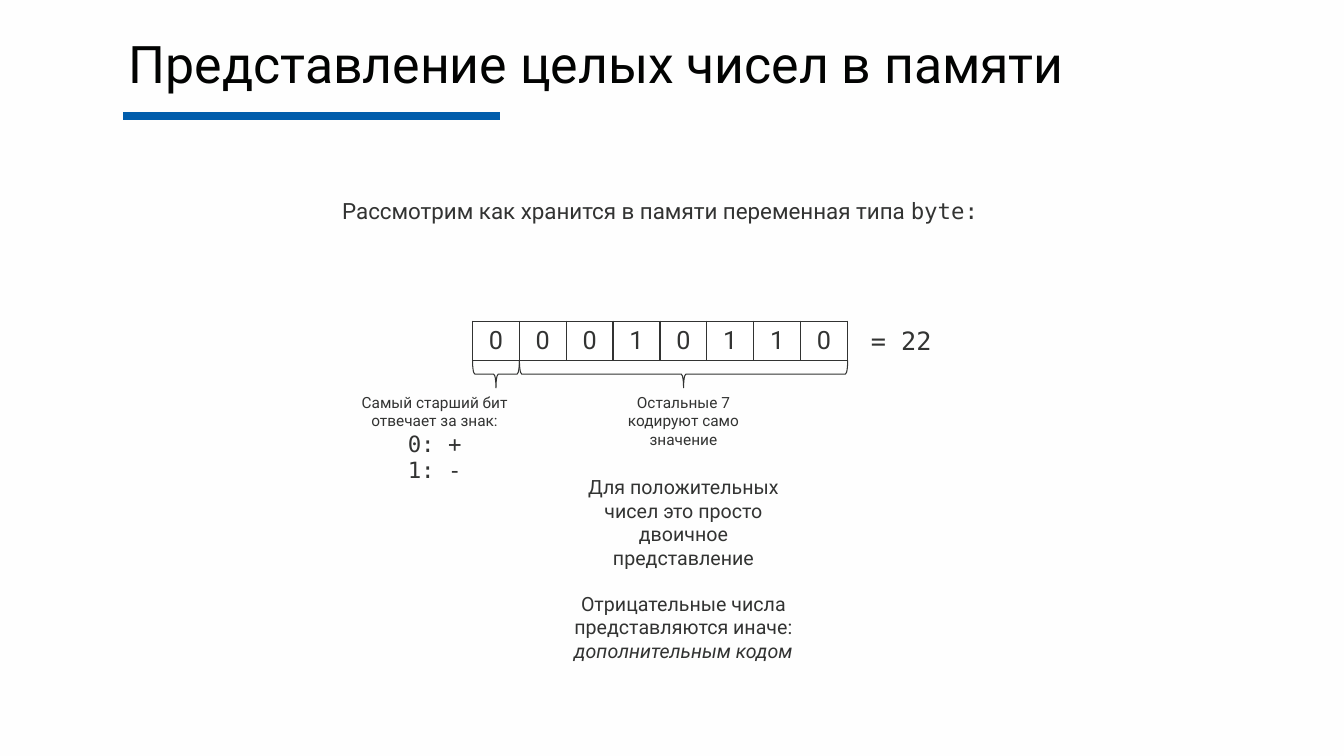
from dataclasses import dataclass

from lxml import etree
from pptx import Presentation
from pptx.dml.color import RGBColor
from pptx.enum.shapes import MSO_CONNECTOR, MSO_SHAPE
from pptx.enum.text import MSO_ANCHOR, PP_ALIGN
from pptx.oxml.ns import qn
from pptx.util import Pt

LEFT, CENTER = PP_ALIGN.LEFT, PP_ALIGN.CENTER
TOP, MIDDLE = MSO_ANCHOR.TOP, MSO_ANCHOR.MIDDLE
STRAIGHT = MSO_CONNECTOR.STRAIGHT
BRACE = MSO_SHAPE.RIGHT_BRACE


@dataclass(frozen=True)
class Theme:
    background: str = "FEFEFE"
    heading: str = "020302"
    ink: str = "323332"
    brace: str = "313231"
    accent: str = "015DAC"
    cell: str = "FFFFFF"
    sans: str = "Roboto"
    mono: str = "DejaVu Sans Mono"
    title: float = 37
    bit: float = 18
    lead: float = 16
    note: float = 14
    caption: float = 11


THEME = Theme()


def rgb(value):
    return RGBColor.from_string(value)


def apply(target, **values):
    for name, value in values.items():
        setattr(target, name, value)


def write_run(paragraph, text, size, font=THEME.sans, color=THEME.ink, italic=None):
    run = paragraph.add_run()
    run.text = text
    apply(run.font, size=Pt(size), name=font, italic=italic)
    run.font.color.rgb = rgb(color)


def add_text(slide, box, paragraphs, align=CENTER, anchor=TOP):
    frame = slide.shapes.add_textbox(*map(Pt, box)).text_frame
    inset = Pt(3.6)
    apply(frame, word_wrap=True, vertical_anchor=anchor, margin_left=inset,
          margin_right=inset, margin_top=inset, margin_bottom=inset)
    for index, runs in enumerate(paragraphs):
        paragraph = frame.paragraphs[0] if index == 0 else frame.add_paragraph()
        paragraph.alignment = align
        for run in runs:
            write_run(paragraph, *run)
    return frame


def add_header(slide, left, top, width, height):
    rule_y = top + height + 11
    rule = slide.shapes.add_connector(
        STRAIGHT, Pt(left), Pt(rule_y), Pt(left + 269), Pt(rule_y))
    rule.line.color.rgb = rgb(THEME.accent)
    rule.line.width = Pt(6)
    etree.SubElement(rule._element.spPr, qn("a:effectLst"))
    heading = add_text(
        slide, (left + 0.5, top, width, height),
        [[("Представление целых чисел в памяти", THEME.title, THEME.sans, THEME.heading)]],
        LEFT, MIDDLE)
    heading.paragraphs[0].line_spacing = 0.7


def add_borders(cell):
    properties = cell._tc.get_or_add_tcPr()
    for side in ("lnL", "lnR", "lnT", "lnB"):
        border = etree.SubElement(properties, qn(f"a:{side}"), w=str(Pt(1)))
        fill = etree.SubElement(border, qn("a:solidFill"))
        etree.SubElement(fill, qn("a:srgbClr"), val=THEME.ink)


def add_byte(slide, left, top, bit_width, height, bits):
    byte = slide.shapes.add_table(
        1, len(bits), Pt(left), Pt(top), Pt(bit_width * len(bits)), Pt(height)).table
    apply(byte, first_row=False, horz_banding=False)
    for column, bit in enumerate(bits):
        byte.columns[column].width = Pt(bit_width)
        cell = byte.cell(0, column)
        apply(cell, vertical_anchor=MIDDLE, margin_top=Pt(3), margin_bottom=Pt(3))
        add_borders(cell)
        cell.fill.solid()
        cell.fill.fore_color.rgb = rgb(THEME.cell)
        paragraph = cell.text_frame.paragraphs[0]
        paragraph.alignment = CENTER
        write_run(paragraph, bit, THEME.bit)


def add_brace(slide, left, top, width, height):
    brace = slide.shapes.add_shape(
        BRACE, Pt(left + (width - height) / 2), Pt(top + (height - width) / 2),
        Pt(height), Pt(width))
    brace.rotation = 90
    brace.shadow.inherit = False
    brace.fill.background()
    brace.line.color.rgb = rgb(THEME.brace)
    brace.line.width = Pt(0.75)


def add_byte_diagram(slide, left, top, bit_width, height):
    bits = "00010110"
    bottom = top + height
    captions_top = bottom + 19.5
    value_left = left + bit_width
    value_width = bit_width * (len(bits) - 1)
    value_center = value_left + value_width / 2
    add_byte(slide, left, top, bit_width, height, bits)
    add_brace(slide, left, bottom, bit_width, 19.5)
    add_brace(slide, value_left, bottom, value_width, 19.5)
    add_text(slide, (left - 86.5, captions_top, 119, 73), [
        [("Самый старший бит", THEME.caption)],
        [("отвечает за знак:", THEME.caption)],
        [("0: +", THEME.lead, THEME.mono)],
        [("1: -", THEME.lead, THEME.mono)],
    ])
    add_text(slide, (value_center - 62.5, captions_top, 125, 34),
             [[("Остальные 7 кодируют само значение", THEME.caption)]])
    add_text(slide, (value_left + value_width + 13, top - 0.5, 119, 29),
             [[("= 22", THEME.bit, THEME.mono)]], LEFT)
    notes = (
        [("Для положительных чисел это просто двоичное представление", THEME.note)],
        [("Отрицательные числа представляются иначе: ", THEME.note),
         ("дополнительным кодом", THEME.note, THEME.sans, THEME.ink, True)],
    )
    for index, note in enumerate(notes):
        add_text(slide, (value_center - 86, captions_top + 59 + 83 * index, 172, 58), [note])


def build_integer_slide(deck):
    slide = deck.slides.add_slide(deck.slide_layouts[6])
    slide.background.fill.solid()
    slide.background.fill.fore_color.rgb = rgb(THEME.background)
    add_header(slide, 88, 29, 766, 43)
    add_text(slide, (88.5, 137.5, 766, 27), [[
        ("Рассмотрим как хранится в памяти переменная типа ", THEME.lead),
        ("byte:", THEME.lead, THEME.mono)]])
    add_byte_diagram(slide, 337.5, 229.5, 33.5, 28)


def main():
    deck = Presentation()
    apply(deck, slide_width=Pt(960), slide_height=Pt(540))
    build_integer_slide(deck)
    deck.save("out.pptx")


if __name__ == "__main__":
    main()
